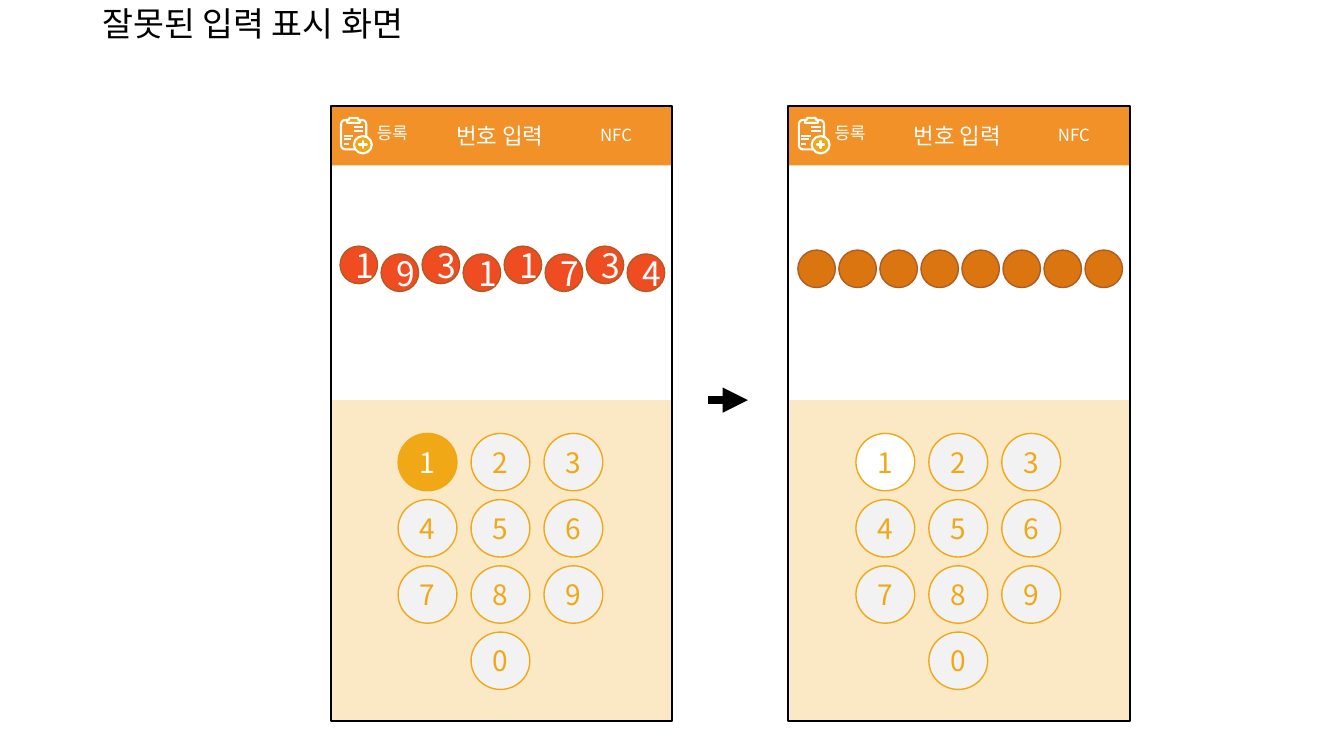
from lxml import etree
from pptx import Presentation
from pptx.dml.color import RGBColor
from pptx.enum.shapes import MSO_CONNECTOR, MSO_SHAPE
from pptx.enum.text import MSO_ANCHOR, PP_ALIGN
from pptx.oxml.ns import qn
from pptx.util import Pt

RECT = MSO_SHAPE.RECTANGLE
ROUND = MSO_SHAPE.ROUNDED_RECTANGLE
OVAL = MSO_SHAPE.OVAL
PLUS = MSO_SHAPE.MATH_PLUS
LINE = MSO_CONNECTOR.STRAIGHT
MID, TOP = MSO_ANCHOR.MIDDLE, MSO_ANCHOR.TOP
LEFT, CENTER = PP_ALIGN.LEFT, PP_ALIGN.CENTER

THEME = {
    "font": "Noto Sans CJK KR",
    "title": 24, "digit": 24, "key": 20, "head": 16, "label": 12,
    "black": "000000", "white": "FFFFFF", "bar": "F19127", "pad": "FBE9C5",
    "gold": "F1A817", "gray": "F2F2F2", "red": "EF4D21", "dot": "DB750F",
    "rim": "AF5C24",
}


def style(shape, fill=None, line=None, width=1.5):
    shape.shadow.inherit = False
    if fill:
        shape.fill.solid()
        shape.fill.fore_color.rgb = RGBColor.from_string(THEME[fill])
    else:
        shape.fill.background()
    if line:
        shape.line.color.rgb = RGBColor.from_string(THEME[line])
        shape.line.width = Pt(width)
    else:
        shape.line.fill.background()
    return shape


def write(shape, text, size, color, align=CENTER, anchor=MID):
    frame = shape.text_frame
    frame.text = text
    para = frame.paragraphs[0]
    font = para.runs[0].font
    values = {
        frame: {"word_wrap": True, "vertical_anchor": anchor},
        para: {"alignment": align},
        font: {"name": THEME["font"], "size": Pt(THEME[size])},
    }
    for item, form in values.items():
        for name, value in form.items():
            setattr(item, name, value)
    font.color.rgb = RGBColor.from_string(THEME[color])
    props = para.runs[0]._r.get_or_add_rPr()
    etree.SubElement(props, qn("a:ea"), typeface=THEME["font"])
    return para


deck = Presentation()
deck.slide_width, deck.slide_height = Pt(960), Pt(540)
slide = deck.slides.add_slide(deck.slide_layouts[6])
shapes = slide.shapes

title = shapes.add_textbox(Pt(66), Pt(0), Pt(828), Pt(36.7))
write(title, "잘못된 입력 표시 화면", "title", "black", LEFT).line_spacing = 0.9

lines = []
phones = [
    (236.2, "19311734", "red", 2.8, "gold", "white"),
    (563.2, " " * 8, "dot", 0, "white", "gold"),
]
for left, code, tint, shift, first, ink in phones:
    for x, y, w, h, fill, line in [
        (0, 75.6, 244, 42.5, "bar", None),
        (0.7, 285.8, 243.3, 229, "pad", None),
        (0, 75.6, 244, 439.2, None, "black"),
    ]:
        style(shapes.add_shape(RECT, Pt(left + x), Pt(y), Pt(w), Pt(h)), fill, line)

    for i, digit in enumerate("1234567890"):
        row, col = divmod(i, 3)
        if digit == "0":
            col = 1
        key = shapes.add_shape(
            OVAL, Pt(left + 48.2 + col * 52.1), Pt(309.6 + row * 47.3), Pt(42), Pt(41))
        style(key, "gray" if i else first, "gold", 1)
        write(key, digit, "key", "gold" if i else ink)

    for text, x, y, w, h, size, align in [
        ("번호 입력", 81.2, 83.5, 79.2, 26.6, "head", CENTER),
        ("등록", 25.9, 84.2, 37.4, 21.8, "label", LEFT),
    ]:
        box = shapes.add_textbox(Pt(left + x), Pt(y), Pt(w), Pt(h))
        write(box, text, size, "white", align, TOP)

    style(shapes.add_shape(ROUND, Pt(left + 7.4), Pt(85.7), Pt(18), Pt(21)), None, "white")
    for x, y, w in [(16.4, 90.7, 6.8), (16.4, 93.6, 6.8), (9.2, 97.2, 7),
                    (9.2, 99.6, 5.6), (9.2, 103, 3.6)]:
        rule = shapes.add_connector(LINE, Pt(left + x), Pt(y), Pt(left + x + w), Pt(y))
        lines.append((rule, "white", 1.5))

    clip = [(13.5, 84.2), (19.4, 84.2), (19.8, 85.7), (21, 85.7), (21, 87.8),
            (11.7, 87.8), (11.7, 85.7), (13, 85.7)]
    points = [(Pt(left + x), Pt(y)) for x, y in clip]
    path = shapes.build_freeform(*points[0])
    path.add_line_segments(points[1:], close=True)
    style(path.convert_to_shape(), "gold", "white")
    style(shapes.add_shape(OVAL, Pt(left + 16.6), Pt(97.2), Pt(12.8), Pt(12.4)),
          "gold", "white")
    plus = shapes.add_shape(PLUS, Pt(left + 19.4), Pt(99.8), Pt(7.2), Pt(6.8))
    plus.adjustments[0] = 0.03
    style(plus, None, "white")

    nfc = shapes.add_shape(ROUND, Pt(left + 183.6), Pt(82.1), Pt(60.5), Pt(28.1))
    nfc.adjustments[0] = 0.22
    write(style(nfc), "NFC", "label", "white", LEFT)

    for i, digit in enumerate(code):
        y = 178.6 + (shift if i % 2 else -shift)
        dot = shapes.add_shape(
            OVAL, Pt(left + 6.7 + i * 29.3), Pt(y), Pt(26.8), Pt(26.8))
        style(dot, tint, "rim", 1)
        if digit.strip():
            write(dot, digit, "digit", "white")

arrow = shapes.add_connector(LINE, Pt(506), Pt(285.8), Pt(534.2), Pt(285.8))
lines.append((arrow, "black", 6))
for rule, color, width in lines:
    rule.line.color.rgb = RGBColor.from_string(THEME[color])
    rule.line.width = Pt(width)
    etree.SubElement(rule._element.spPr, qn("a:effectLst"))
etree.SubElement(arrow.line._get_or_add_ln(), qn("a:tailEnd"), type="triangle")

deck.save("out.pptx")
